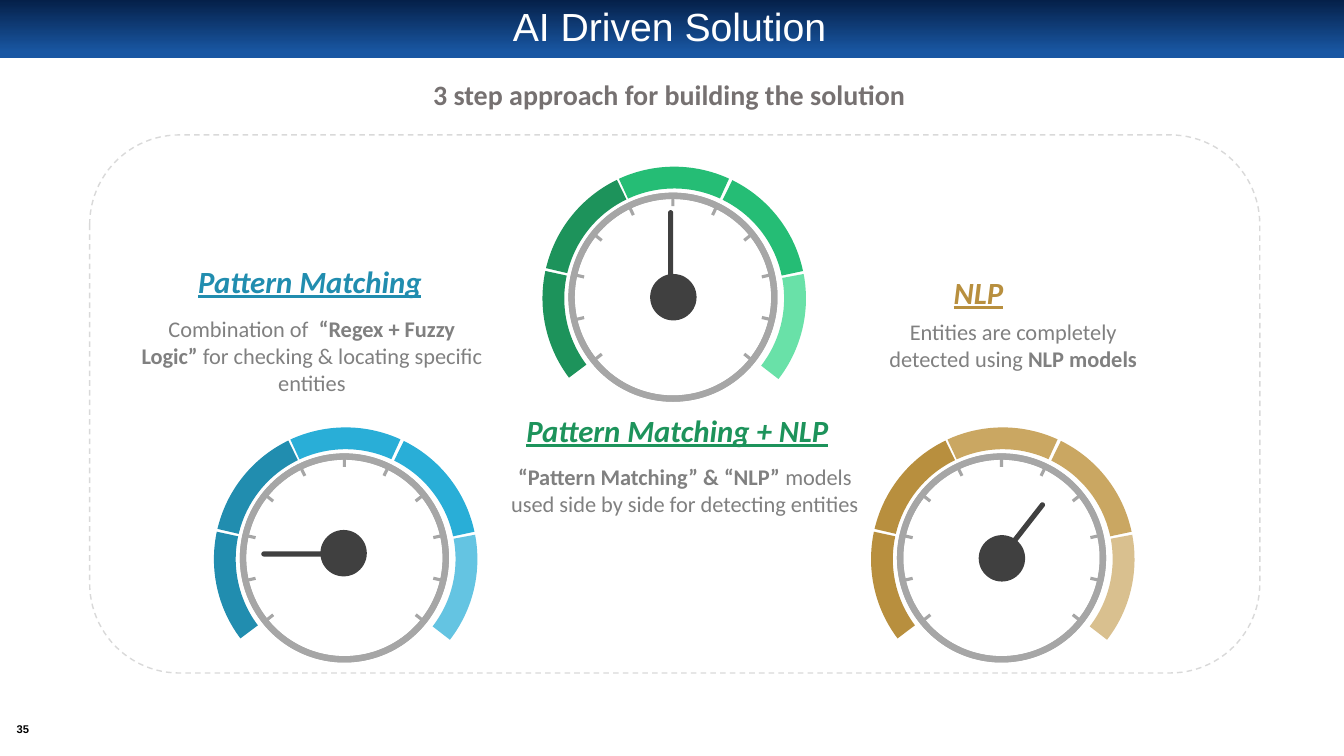
from math import cos, radians, sin

from lxml import etree
from pptx import Presentation
from pptx.dml.color import RGBColor
from pptx.enum.dml import MSO_LINE
from pptx.enum.shapes import MSO_SHAPE
from pptx.enum.text import MSO_ANCHOR, PP_ALIGN
from pptx.oxml.ns import qn
from pptx.util import Cm, Pt

RECT, OVAL = MSO_SHAPE.RECTANGLE, MSO_SHAPE.OVAL
ROUND, RING = MSO_SHAPE.ROUNDED_RECTANGLE, MSO_SHAPE.DONUT
CENTER, MIDDLE, DASH = PP_ALIGN.CENTER, MSO_ANCHOR.MIDDLE, MSO_LINE.DASH

WHITE = RGBColor(0xFF, 0xFF, 0xFF)
BLACK = RGBColor(0, 0, 0)
NAVY = RGBColor(0x05, 0x20, 0x49)
ROYAL = RGBColor(0x19, 0x57, 0xA3)
PALE = RGBColor(0xD9, 0xD9, 0xD9)
SILVER = RGBColor(0xA6, 0xA6, 0xA6)
GREY = RGBColor(0x80, 0x80, 0x80)
STONE = RGBColor(0x76, 0x71, 0x71)
DARK = RGBColor(0x40, 0x40, 0x40)
BLUES = [RGBColor(0x21, 0x8D, 0xAF), RGBColor(0x29, 0xAE, 0xD7), RGBColor(0x64, 0xC4, 0xE2)]
GREENS = [RGBColor(0x1D, 0x93, 0x5B), RGBColor(0x25, 0xBD, 0x75), RGBColor(0x69, 0xE1, 0xA8)]
GOLDS = [RGBColor(0xB8, 0x8F, 0x3E), RGBColor(0xCA, 0xA7, 0x62), RGBColor(0xD9, 0xC0, 0x8F)]

# Content: boxes are left, top, width, height in cm; runs are (text, bold)
TITLE = "AI Driven Solution"
LEAD = "3 step approach for building the solution "
PAGE = "35"
STEPS = [
    ("Pattern Matching", (3.38, 6.5, 8.86, 1.19), BLUES[0],
     [("Combination of  ", False), ("“Regex + Fuzzy Logic” ", True),
      ("for checking & locating specific entities", False)],
     (3.25, 7.82, 9.22, 2.31)),
    ("NLP", (21.89, 6.77, 5.54, 1.19), GOLDS[0],
     [("Entities are completely detected using ", False), ("NLP models", True)],
     (21.8, 7.9, 7.47, 1.63)),
    ("Pattern Matching + NLP", (12.32, 10.24, 9.5, 1.19), GREENS[0],
     [("“Pattern Matching” & “NLP” ", True),
      ("models used side by side for detecting entities ", False)],
     (12.6, 11.54, 9.32, 1.63)),
]
# Gauges: ring centre, hub centre, needle centre, needle angle, colours
GAUGES = [
    ((16.96, 7.49), (16.97, 7.49), (16.9, 6.22), 0, GREENS),
    ((25.24, 14.06), (25.25, 14.07), (25.74, 13.4), 38, GOLDS),
    ((8.68, 14.06), (8.66, 13.94), (7.51, 13.96), -90, BLUES),
]
# Band parts: start and end in degrees clockwise from the top, colour index
BANDS = [(-127, -78, 0), (-76.7, -25.8, 0), (-24.8, 24.6, 1),
         (26.2, 78, 1), (79.3, 127.7, 2)]
OUTER, INNER, SHIFT, TILT = 3.32, 2.77, 0.03, 128
TICK_R, TICK_STEP = 2.41, 180 / 7

deck = Presentation()
deck.slide_width, deck.slide_height = Cm(33.87), Cm(19.05)
slide = deck.slides.add_slide(deck.slide_layouts[5])
shapes = slide.shapes


def add_form(home, kind, box, fill=None):
    form = home.add_shape(kind, *map(Cm, box))
    form.line.fill.background()
    form.shadow.inherit = False
    if fill is not None:
        paint(form, fill)
    return form


def paint(form, color):
    form.fill.solid()
    form.fill.fore_color.rgb = color


def add_mid(home, kind, mid, width, height, fill, turn=0):
    box = (mid[0] - width / 2, mid[1] - height / 2, width, height)
    form = add_form(home, kind, box, fill)
    form.rotation = turn % 360
    return form


def set_font(font, size, color, name="Calibri", bold=None):
    font.name, font.size, font.bold = name, Pt(size), bold
    font.color.rgb = color


def add_text(home, box, runs, size, color, name="Calibri", bold=None):
    frame = home.add_textbox(*map(Cm, box)).text_frame
    frame.word_wrap = True
    para = frame.paragraphs[0]
    para.alignment = CENTER
    for words, heavy in runs:
        run = para.add_run()
        run.text = words
        if heavy is not None:
            run.font.bold = heavy
    set_font(para.font, size, color, name, bold)
    return frame


def polar(mid, radius, angle):
    turn = radians(angle)
    return mid[0] + radius * sin(turn), mid[1] - radius * cos(turn)


def make_arc(radius, start, sweep):
    arc = etree.Element(qn("a:arcTo"))
    size = str(Cm(radius))
    arc.set("wR", size)
    arc.set("hR", size)
    arc.set("stAng", str(round((start - 90) % 360 * 60000)))
    arc.set("swAng", str(round(sweep * 60000)))
    return arc


def add_band(home, mid, start, end, color, count=24):
    # Sampled points size the frame, which is turned by TILT about the centre
    start, end = start - TILT, end - TILT
    sweep = end - start
    angles = [start + sweep * i / count for i in range(count + 1)]
    points = [polar(mid, OUTER, a) for a in angles]
    points += [polar(mid, INNER, a) for a in reversed(angles)]
    spots = [(Cm(x), Cm(y)) for x, y in points]
    draft = home.build_freeform(*spots[0])
    draft.add_line_segments(spots[1:], close=True)
    band = draft.convert_to_shape()

    # True arcs take the place of the sampled points
    track = next(band._element.iter(qn("a:path")))
    nodes = list(track)
    for node in nodes[1:count + 1] + nodes[count + 2:-1]:
        track.remove(node)
    track.insert(1, make_arc(OUTER, start, sweep))
    track.insert(3, make_arc(INNER, end, -sweep))

    turn = radians(TILT)
    x = band.left + band.width / 2 - Cm(mid[0])
    y = band.top + band.height / 2 - Cm(mid[1])
    band.left = round(Cm(mid[0]) + x * cos(turn) - y * sin(turn) - band.width / 2)
    band.top = round(Cm(mid[1]) + x * sin(turn) + y * cos(turn) - band.height / 2)
    band.rotation = TILT
    band.line.fill.background()
    band.shadow.inherit = False
    paint(band, color)


def add_gauge(home, mid, hub, needle, angle, colors):
    stick = add_mid(home, ROUND, needle, 1.85, 0.13, DARK, angle + 90)
    stick.adjustments[0] = 0.5
    ring = add_mid(home, RING, mid, 5.11, 5.11, SILVER)
    ring.adjustments[0] = 0
    ring.line.color.rgb = SILVER
    ring.line.width = Pt(4.5)
    for i in range(-5, 6):
        turn = i * TICK_STEP
        add_mid(home, RECT, polar(mid, TICK_R, turn), 0.08, 0.23, SILVER, turn)
    core = (mid[0] + SHIFT, mid[1] + SHIFT)
    for start, end, tone in BANDS:
        add_band(home, core, start, end, colors[tone])
    add_mid(home, OVAL, hub, 1.17, 1.17, DARK)


# Header bar and white corner, placed behind the title
bar = add_form(shapes, RECT, (0, 0, 33.87, 1.47))
bar.fill.gradient()
bar.fill.gradient_angle = 270
for stop, place, color in zip(bar.fill.gradient_stops, (0, 0.9), (NAVY, ROYAL)):
    stop.position = place
    stop.color.rgb = color
corner = add_form(shapes, RECT, (30.66, 17.22, 3.2, 1.83), WHITE)
title = shapes.title
for back in (bar, corner):
    title._element.addprevious(back._element)
title.left, title.top, title.width, title.height = map(Cm, (1.68, 0.15, 30.38, 1.14))
title.text_frame.text = TITLE
title.text_frame.vertical_anchor = MIDDLE
head = title.text_frame.paragraphs[0]
head.alignment, head.line_spacing = CENTER, 0.9
set_font(head.font, 28, WHITE, "Arial")

# Dashed panel
panel = add_form(shapes, ROUND, (2.26, 3.4, 29.49, 13.56), WHITE)
panel.line.color.rgb = PALE
panel.line.width = Pt(1)
panel.line.dash_style = DASH

# Lead line and page number
add_text(shapes, (4.7, 1.83, 24.49, 1.12), [(LEAD, None)], 20, STONE, bold=True)
page = add_text(shapes, (0.2, 18.14, 0.76, 0.48), [(PAGE, None)], 8, BLACK, "Arial", True)
page.margin_left = page.margin_right = page.margin_top = page.margin_bottom = 0
page.vertical_anchor = MIDDLE
page.word_wrap = False

# Steps
for name, spot, color, runs, box in STEPS:
    home = shapes.add_group_shape().shapes
    label = add_text(home, spot, [(name, None)], 22, color, bold=True)
    font = label.paragraphs[0].font
    font.italic = font.underline = True
    add_text(home, box, runs, 16, GREY)

# Gauges
dials = shapes.add_group_shape().shapes
for gauge in GAUGES:
    add_gauge(dials, *gauge)

deck.save("out.pptx")
